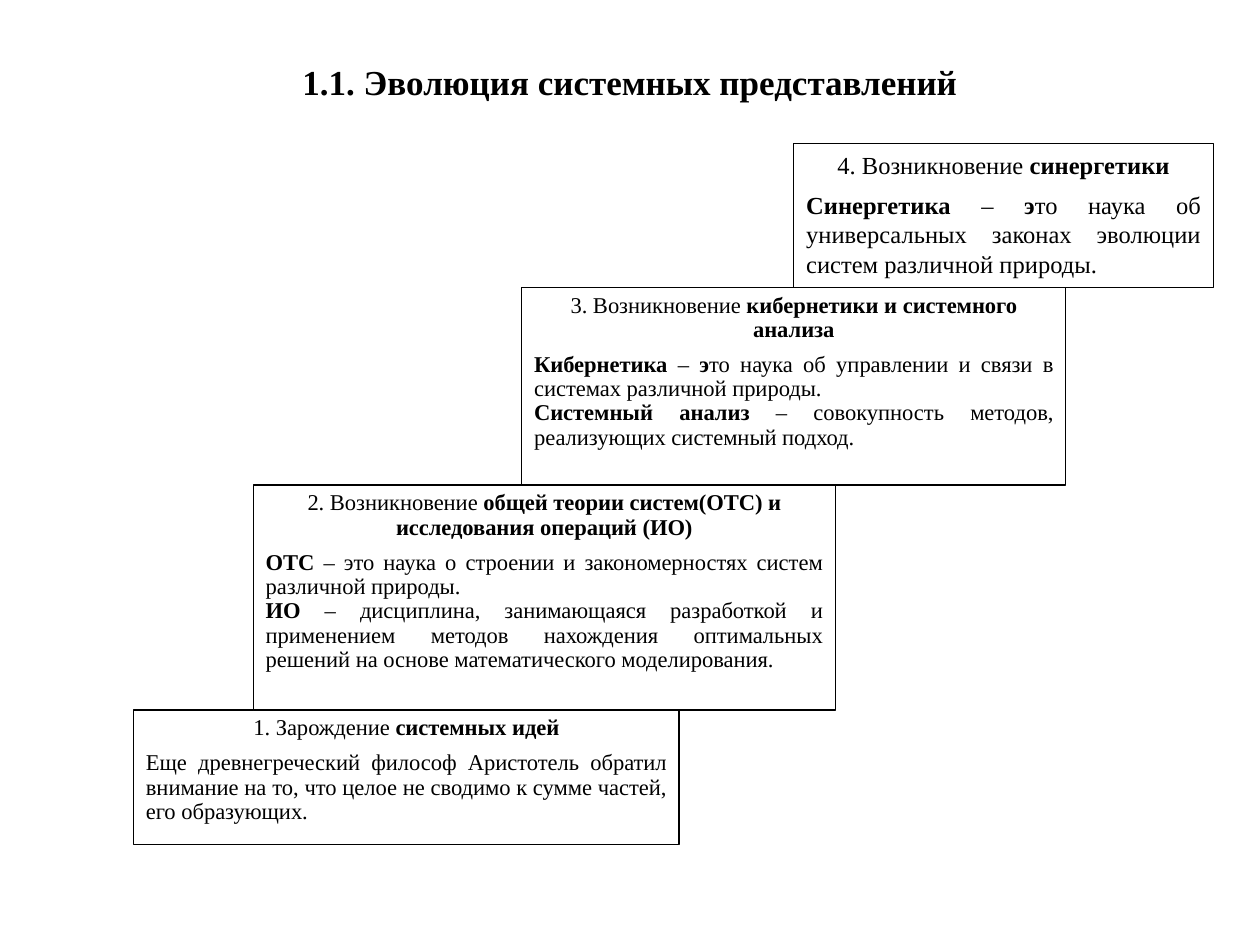
import pptx
import pptx.dml.color
import pptx.enum.shapes
import pptx.enum.text
import pptx.util

Pt = pptx.util.Pt
Align = pptx.enum.text.PP_ALIGN
Anchor = pptx.enum.text.MSO_ANCHOR

BLACK = pptx.dml.color.RGBColor(0x00, 0x00, 0x00)
WHITE = pptx.dml.color.RGBColor(0xFF, 0xFF, 0xFF)
FONT = "Times New Roman"
TITLE_ONLY = 5
STAIRS_TOP = 82.1

# Steps from the top one down: left, width, height, text size, line spacing,
# heading runs, then paragraphs of body runs; a run is (text, bold)
STEPS = [
    (453.6, 239.8, 82.1, 14, 1.0,
     [("4. Возникновение ", False), ("синергетики", True)],
     [[("Синергетика ", True), ("–", False), (" э", True),
       ("то наука об универсальных законах эволюции систем различной природы.", False)]]),
    (298.1, 311, 113, 12.9, 0.9,
     [("3. Возникновение ", False), ("кибернетики и системного анализа", True)],
     [[("Кибернетика ", True), ("–", False), (" э", True),
       ("то наука об управлении и связи в системах различной природы.", False)],
      [("Системный анализ ", True),
       ("– совокупность методов, реализующих системный подход.", False)]]),
    (144.7, 332.6, 128.6, 12.9, 0.9,
     [("2. Возникновение ", False),
      ("общей теории систем(ОТС) и исследования операций (ИО)", True)],
     [[("ОТС", True),
       (" – это наука о строении и закономерностях систем различной природы.", False)],
      [("ИО", True),
       (" – дисциплина, занимающаяся разработкой и применением методов нахождения "
        "оптимальных решений на основе математического моделирования.", False)]]),
    (76.3, 311.8, 77, 12.9, 0.9,
     [("1. Зарождение ", False), ("системных идей", True)],
     [[("Еще древнегреческий философ Аристотель обратил внимание на то, что целое "
        "не сводимо к сумме частей, его образующих.", False)]]),
]


class StairSlide:
    """Holds the text style and the slide being drawn."""

    def __init__(self, slide):
        self.slide = slide
        self.stairs = None

    def add_text(self, paragraph, runs, size, align, spacing=1.0, after=0):
        paragraph.alignment = align
        paragraph.line_spacing = spacing
        paragraph.space_before = Pt(0)
        paragraph.space_after = Pt(after)
        for text, bold in runs:
            run = paragraph.add_run()
            run.text = text
            run.font.name = FONT
            run.font.size = Pt(size)
            run.font.bold = bold
            run.font.color.rgb = BLACK

    def title(self, text, left, top, width, height):
        heading = self.slide.shapes.title
        heading.left, heading.top = Pt(left), Pt(top)
        heading.width, heading.height = Pt(width), Pt(height)
        heading.text_frame.vertical_anchor = Anchor.MIDDLE
        self.add_text(heading.text_frame.paragraphs[0], [(text, True)], 20, Align.CENTER)

    def step(self, left, top, width, height, size, spacing, heading, body):
        if self.stairs is None:
            self.stairs = self.slide.shapes.add_group_shape()
        block = self.stairs.shapes.add_shape(
            pptx.enum.shapes.MSO_SHAPE.RECTANGLE, Pt(left), Pt(top), Pt(width), Pt(height))
        block.shadow.inherit = False
        block.fill.solid()
        block.fill.fore_color.rgb = WHITE
        block.line.color.rgb = BLACK
        block.line.width = Pt(0.75)
        frame = block.text_frame
        frame.word_wrap = True
        frame.vertical_anchor = Anchor.TOP
        frame.margin_left = frame.margin_right = Pt(7.2)
        frame.margin_top = frame.margin_bottom = Pt(3.6)
        self.add_text(frame.paragraphs[0], heading, size, Align.CENTER, spacing, after=6)
        for runs in body:
            self.add_text(frame.add_paragraph(), runs, size, Align.JUSTIFY, spacing)


def main():
    deck = pptx.Presentation()
    deck.slide_width, deck.slide_height = Pt(720), Pt(540)
    page = StairSlide(deck.slides.add_slide(deck.slide_layouts[TITLE_ONLY]))

    # Title
    page.title("1.1. Эволюция системных представлений", 36, 21.6, 648, 49.7)

    # Staircase: each step rests on the one below, drawn from the bottom up
    bottom = STAIRS_TOP + sum(height for _, _, height, *_ in STEPS)
    for left, width, height, *text in reversed(STEPS):
        bottom -= height
        page.step(left, bottom, width, height, *text)

    deck.save("out.pptx")


if __name__ == "__main__":
    main()
